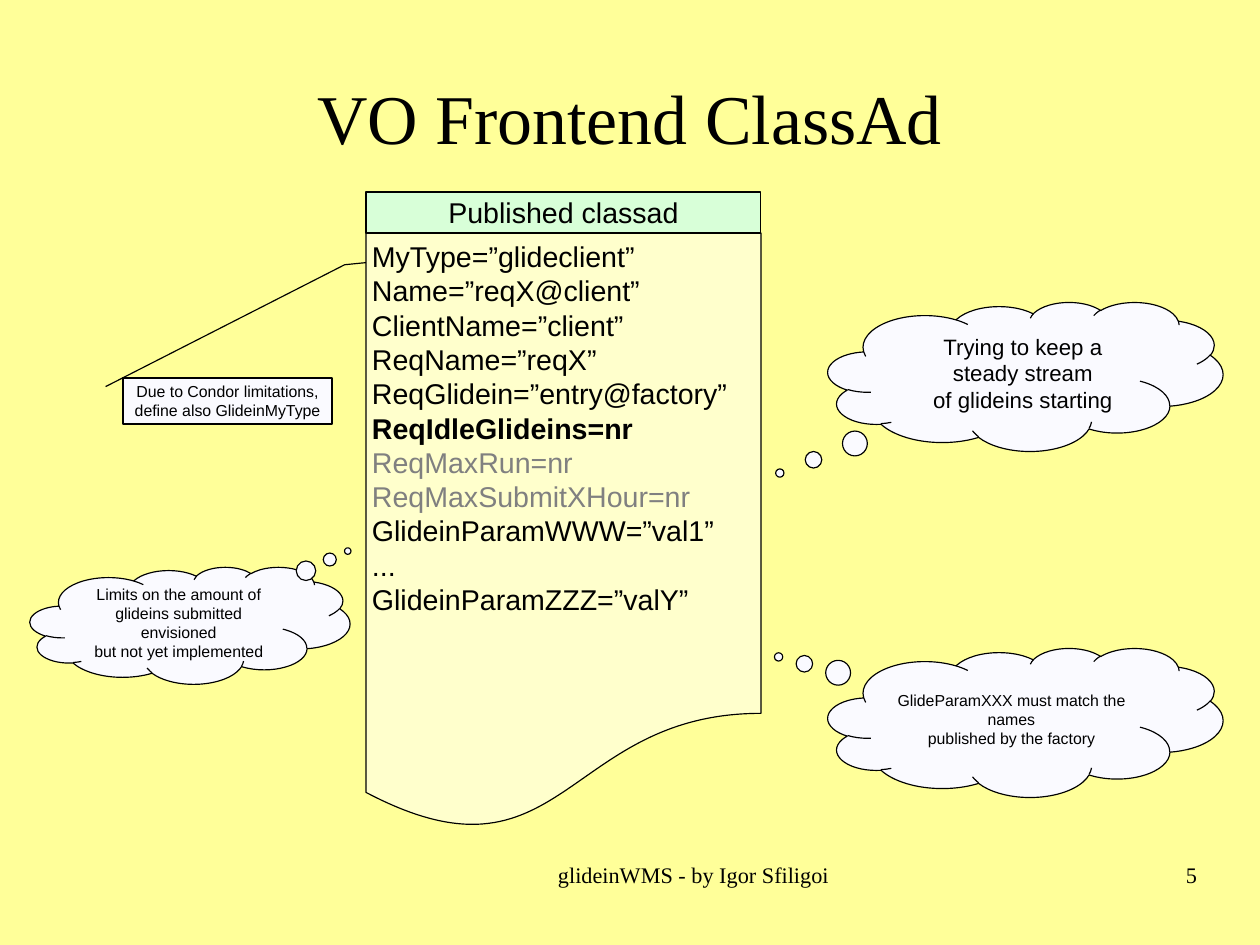
from pptx import Presentation
from pptx.dml.color import RGBColor
from pptx.enum.shapes import MSO_SHAPE
from pptx.enum.text import MSO_ANCHOR, MSO_AUTO_SIZE, PP_ALIGN
from pptx.util import Emu, Pt

PX = 8000
SLIDE_SIZE = (1260, 945)
LEFT, CENTER, RIGHT = PP_ALIGN.LEFT, PP_ALIGN.CENTER, PP_ALIGN.RIGHT
TOP, MIDDLE = MSO_ANCHOR.TOP, MSO_ANCHOR.MIDDLE
NO_AUTOFIT = MSO_AUTO_SIZE.NONE
DOCUMENT = MSO_SHAPE.FLOWCHART_DOCUMENT
RECTANGLE = MSO_SHAPE.RECTANGLE
CLOUD = MSO_SHAPE.CLOUD_CALLOUT
LINE_CALLOUT = MSO_SHAPE.LINE_CALLOUT_2
SERIF, SANS = "Times New Roman", "Arial"

COLORS = {
    "background": "FFFF99",
    "document": "FFFFCC",
    "header": "D8FFD8",
    "note": "FAFAFF",
    "ink": "000000",
    "muted": "808080",
}

TITLE = "VO Frontend ClassAd"
TITLE_BOX = (63, 38, 1134, 158)

CLASSAD_LEFT, CLASSAD_TOP, CLASSAD_WIDTH = 366, 192, 395
HEADER_HEIGHT, DOCUMENT_HEIGHT = 41, 599
CLASSAD_LINES = [
    "MyType=”glideclient”",
    "Name=”reqX@client”",
    "ClientName=”client”",
    "ReqName=”reqX”",
    "ReqGlidein=”entry@factory”",
    "ReqIdleGlideins=nr",
    "ReqMaxRun=nr",
    "ReqMaxSubmitXHour=nr",
    "GlideinParamWWW=”val1”",
    "...",
    "GlideinParamZZZ=”valY”",
]
EMPHASIS = {
    "ReqIdleGlideins=nr": {"bold": True},
    "ReqMaxRun=nr": {"color": "muted"},
    "ReqMaxSubmitXHour=nr": {"color": "muted"},
}

NOTES = [
    (CLOUD, (828, 648, 395, 149), (-0.625, -0.44), 10, 11,
     ["GlideParamXXX must match the names", "published by the factory"]),
    (LINE_CALLOUT, (123, 378, 209, 46),
     (0.188, -0.083, -2.462, 1.061, -2.508, 1.163), 10, 11,
     ["Due to Condor limitations,", "define also GlideinMyType"]),
    (CLOUD, (828, 302, 395, 149), (-0.622, 0.648), 14, 34,
     ["Trying to keep a steady stream", "of glideins starting"]),
    (CLOUD, (30, 567, 320, 117), (0.493, -0.636), 10, 11,
     ["Limits on the amount of", "glideins submitted envisioned",
      "but not yet implemented"]),
]

FOOTERS = [
    ((494, 861, 399, 65), CENTER, "glideinWMS - by Igor Sfiligoi"),
    ((943, 861, 254, 65), RIGHT, "5"),
]


def color(name):
    return RGBColor.from_string(COLORS[name])


def emu(lengths):
    return [Emu(length * PX) for length in lengths]


def set_attributes(target, values):
    for name, value in values.items():
        setattr(target, name, value)


def write(shape, lines, size, font_name, alignment, anchor, margins, emphasis=None):
    frame = shape.text_frame
    left, top, right, bottom = emu(margins)
    set_attributes(frame, {
        "word_wrap": True, "auto_size": NO_AUTOFIT, "vertical_anchor": anchor,
        "margin_left": left, "margin_top": top,
        "margin_right": right, "margin_bottom": bottom,
    })
    for index, line in enumerate(lines):
        paragraph = frame.paragraphs[0] if index == 0 else frame.add_paragraph()
        paragraph.alignment = alignment
        run = paragraph.add_run()
        run.text = line
        style = (emphasis or {}).get(line, {})
        set_attributes(run.font, {
            "name": font_name, "size": Pt(size), "bold": style.get("bold", False),
        })
        run.font.color.rgb = color(style.get("color", "ink"))


def add_panel(slide, kind, box, fill):
    shape = slide.shapes.add_shape(kind, *emu(box))
    shape.shadow.inherit = False
    shape.fill.solid()
    shape.fill.fore_color.rgb = color(fill)
    shape.line.color.rgb = color("ink")
    shape.line.width = Pt(0)
    return shape


def main():
    presentation = Presentation()
    presentation.slide_width, presentation.slide_height = emu(SLIDE_SIZE)
    slide = presentation.slides.add_slide(presentation.slide_layouts[5])
    slide.background.fill.solid()
    slide.background.fill.fore_color.rgb = color("background")

    title = slide.shapes.title
    title.left, title.top, title.width, title.height = emu(TITLE_BOX)
    write(title, [TITLE], 44, SERIF, CENTER, MIDDLE, (0, 0, 0, 0))

    document_top = CLASSAD_TOP + HEADER_HEIGHT
    document = add_panel(
        slide, DOCUMENT,
        (CLASSAD_LEFT, document_top, CLASSAD_WIDTH, DOCUMENT_HEIGHT), "document")
    write(document, CLASSAD_LINES, 18, SANS, LEFT, TOP, (6, 6, 6, 6), EMPHASIS)
    header = add_panel(
        slide, RECTANGLE,
        (CLASSAD_LEFT, CLASSAD_TOP, CLASSAD_WIDTH, HEADER_HEIGHT), "header")
    write(header, ["Published classad"], 18, SANS, CENTER, MIDDLE, (11, 6, 11, 6))

    for kind, box, adjustments, size, left_margin, lines in NOTES:
        note = add_panel(slide, kind, box, "note")
        for index, value in enumerate(adjustments):
            note.adjustments[index] = value
        write(note, lines, size, SANS, CENTER, MIDDLE, (left_margin, 6, 11, 6))

    for box, alignment, text in FOOTERS:
        footer = slide.shapes.add_textbox(*emu(box))
        write(footer, [text], 14, SERIF, alignment, TOP, (0, 0, 0, 0))

    presentation.save("out.pptx")


if __name__ == "__main__":
    main()
